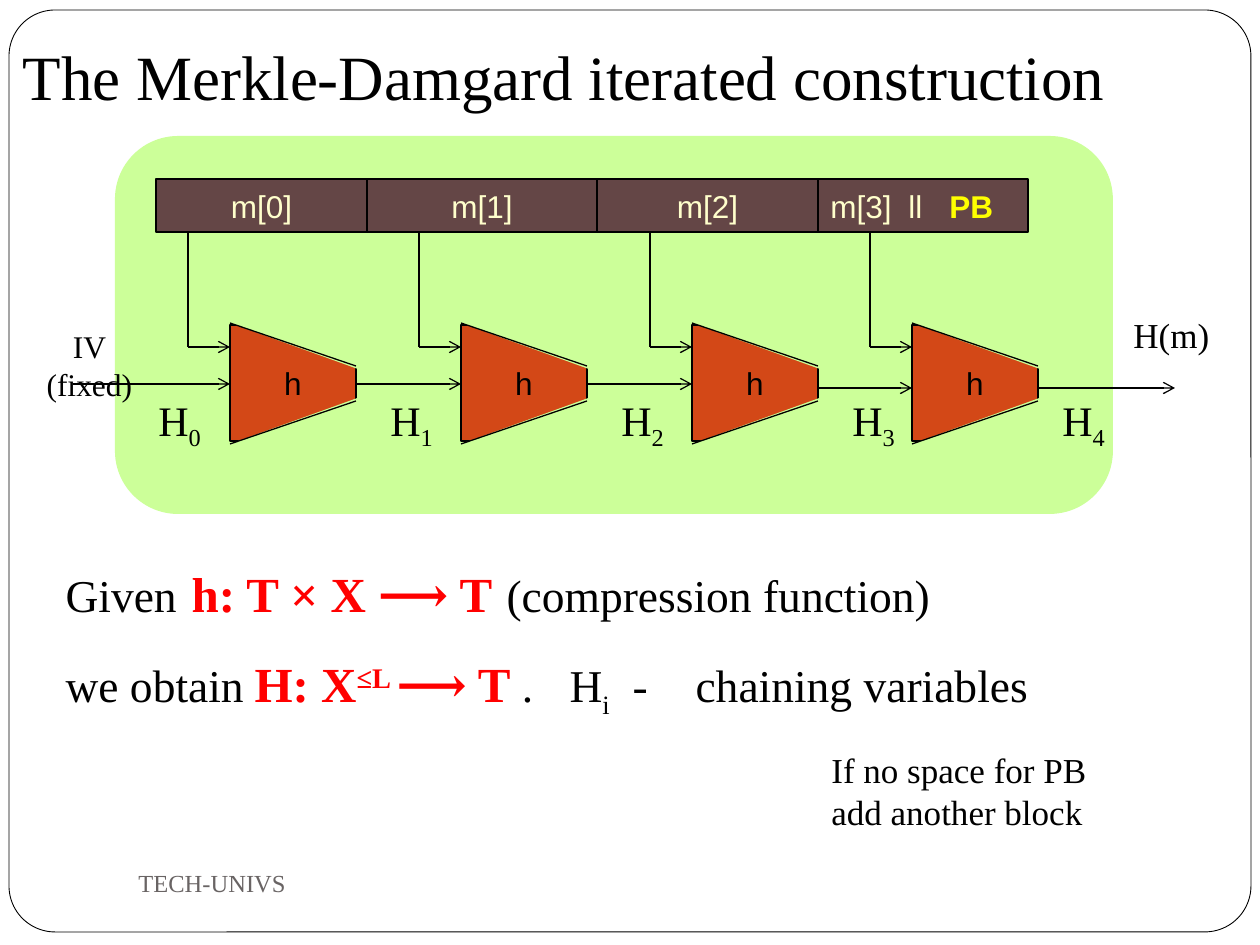
from lxml.etree import SubElement
from pptx import Presentation
from pptx.dml.color import RGBColor
from pptx.enum.shapes import MSO_CONNECTOR, MSO_SHAPE
from pptx.enum.text import MSO_ANCHOR, MSO_AUTO_SIZE, PP_ALIGN
from pptx.oxml.ns import qn
from pptx.util import Emu, Pt

BLACK = RGBColor(0x00, 0x00, 0x00)
WHITE = RGBColor(0xFF, 0xFF, 0xFF)
GREEN = RGBColor(0xCC, 0xFF, 0x99)
ORANGE = RGBColor(0xD3, 0x48, 0x17)
BROWN = RGBColor(0x64, 0x46, 0x46)
CREAM = RGBColor(0xFF, 0xFF, 0xCC)
YELLOW = RGBColor(0xFF, 0xFF, 0x00)
RED = RGBColor(0xFF, 0x00, 0x00)
GREY = RGBColor(0x69, 0x64, 0x64)
SERIF, SANS = "Times New Roman", "Arial"

BLOCK_EDGES = [156, 367, 597, 818, 1028]
BLOCK_TOP, BLOCK_H = 179, 53
H_LEFTS = [230, 461, 692, 912]
H_TOP, H_W, H_H = 325, 126, 116
WEDGE_W, WEDGE_H = 147, 53
SLOPE_H = 43
CHAIN_YS = [384, 384, 384, 388, 388]
LABEL_LEFTS = [146, 378, 609, 840, 1050]


def px(n):
    return Emu(round(n * 914400 / 126))


def box(x, y, w, h):
    return px(x), px(y), px(w), px(h)


def add_run(p, text, size, color=BLACK, font=SERIF, bold=False, base=0):
    r = p.add_run()
    r.text = text
    r.font.name, r.font.size, r.font.bold = font, Pt(size), bold
    r.font.color.rgb = color
    if base:
        r.font._element.set("baseline", str(base * 1000))


def set_tabs(p, stops):
    tabs = SubElement(p._p.get_or_add_pPr(), qn("a:tabLst"))
    for stop in stops:
        SubElement(tabs, qn("a:tab"), pos=str(px(stop)), algn="l")


def add_shape(s, kind, bounds, fill, line=None):
    sp = s.shapes.add_shape(kind, *box(*bounds))
    sp.shadow.inherit = False
    sp.fill.solid()
    sp.fill.fore_color.rgb = fill
    if line:
        sp.line.color.rgb = BLACK
        sp.line.width = Pt(line)
    else:
        sp.line.fill.background()
    return sp


def add_box(s, bounds, fill, align=PP_ALIGN.CENTER):
    sp = add_shape(s, MSO_SHAPE.RECTANGLE, bounds, fill, 0.75)
    tf = sp.text_frame
    tf.word_wrap = False
    tf.vertical_anchor = MSO_ANCHOR.MIDDLE
    tf.paragraphs[0].alignment = align
    return tf.paragraphs[0]


def add_line(s, x1, y1, x2, y2, arrow=False):
    line = s.shapes.add_connector(
        MSO_CONNECTOR.STRAIGHT, px(x1), px(y1), px(x2), px(y2))
    line.line.color.rgb = BLACK
    line.line.width = Pt(0.75)
    if arrow:
        SubElement(line.line._get_or_add_ln(), qn("a:tailEnd"), type="arrow")
    SubElement(line._element.spPr, qn("a:effectLst"))


def add_label(s, bounds, wrap=False):
    tf = s.shapes.add_textbox(*box(*bounds)).text_frame
    tf.word_wrap = wrap
    return tf


def add_wedge(s, x, upper):
    y = 323 if upper else 391
    sp = add_shape(s, MSO_SHAPE.RIGHT_TRIANGLE, (x, y, WEDGE_W, WEDGE_H), GREEN)
    xfrm = sp._element.spPr.xfrm
    xfrm.set("flipH", "1")
    if upper:
        xfrm.set("flipV", "1")
        add_line(s, x, y, x + H_W, y + SLOPE_H)
    else:
        add_line(s, x, y + WEDGE_H, x + H_W, y + WEDGE_H - SLOPE_H)


def add_title(s):
    title = s.shapes.title
    title.left, title.top, title.width, title.height = box(10, -32, 1218, 158)
    tf = title.text_frame
    tf.auto_size = MSO_AUTO_SIZE.NONE
    tf.vertical_anchor = MSO_ANCHOR.BOTTOM
    tf.margin_bottom = px(13)
    p = tf.paragraphs[0]
    p.alignment = PP_ALIGN.LEFT
    add_run(p, "The Merkle-Damgard iterated construction", 36)


def add_body_line(p, space, stops, runs):
    p.space_before = Pt(space)
    pPr = p._p.get_or_add_pPr()
    pPr.set("marL", "0")
    pPr.set("indent", "0")
    SubElement(pPr, qn("a:buNone"))
    set_tabs(p, stops)
    for text, strong, base in runs:
        add_run(p, text, 28 if strong else 26, RED if strong else BLACK,
                bold=strong, base=base)


def add_body(s):
    body = s.placeholders[1]
    body.left, body.top, body.width, body.height = box(53, 557, 1124, 388)
    tf = body.text_frame
    tf.auto_size = MSO_AUTO_SIZE.NONE
    add_body_line(tf.paragraphs[0], 5.8, [145, 556], [
        ("Given\t", False, 0), ("h: T × X ⟶ T\t", True, 0),
        ("(compression function)", False, 0)])
    add_body_line(tf.add_paragraph(), 18.2, [224, 646, 709, 746], [
        ("we obtain\t", False, 0), ("H: X", True, 0), ("≤L ", True, 30),
        ("⟶ T ", True, 0), (".\tH", False, 0), ("i", False, -25),
        ("\t-\tchaining variables", False, 0)])


def add_message_blocks(s):
    for i, (left, right) in enumerate(zip(BLOCK_EDGES, BLOCK_EDGES[1:])):
        last = i == 3
        p = add_box(s, (left, BLOCK_TOP, right - left, BLOCK_H), BROWN,
                    PP_ALIGN.LEFT if last else PP_ALIGN.CENTER)
        add_run(p, f"m[{i}]", 18, CREAM, SANS)
        if last:
            set_tabs(p, [78, 119])
            add_run(p, "\tll\t", 18, CREAM, SANS)
            add_run(p, "PB", 18, YELLOW, SANS, bold=True)


def add_chain(s):
    for x in H_LEFTS:
        add_run(add_box(s, (x, H_TOP, H_W, H_H), ORANGE), "h", 18, font=SANS)
        add_line(s, x - 42, BLOCK_TOP + BLOCK_H, x - 42, 347)
        add_line(s, x - 42, 347, x, 347, arrow=True)
    starts = [73] + [x + H_W for x in H_LEFTS]
    for start, end, y in zip(starts, H_LEFTS + [1175], CHAIN_YS):
        add_line(s, start, y, end, y, arrow=True)
    for x in H_LEFTS:
        add_wedge(s, x, upper=True)
        add_wedge(s, x, upper=False)
    for i, x in enumerate(LABEL_LEFTS):
        p = add_label(s, (x, 388, 72, 63)).paragraphs[0]
        add_run(p, "H", 24)
        add_run(p, str(i), 24, base=-25)


def add_labels(s):
    tf = add_label(s, (33, 321, 113, 89))
    for p, text in zip((tf.paragraphs[0], tf.add_paragraph()), ("IV", "(fixed)")):
        p.alignment = PP_ALIGN.CENTER
        add_run(p, text, 18)
    add_run(add_label(s, (1121, 307, 103, 55)).paragraphs[0], "H(m)", 20)
    p = add_label(s, (819, 742, 315, 97), wrap=True).paragraphs[0]
    add_run(p, "If no space for PB", 20)
    p.add_line_break()
    add_run(p, "add another block", 20)
    tf = add_label(s, (126, 851, 546, 63), wrap=True)
    tf.vertical_anchor = MSO_ANCHOR.MIDDLE
    add_run(tf.paragraphs[0], "TECH-UNIVS", 14, GREY)


def main():
    prs = Presentation()
    prs.slide_width, prs.slide_height = px(1260), px(945)
    s = prs.slides.add_slide(prs.slide_layouts[1])
    frame = add_shape(s, MSO_SHAPE.ROUNDED_RECTANGLE, (9, 10, 1242, 922), WHITE, 0.5)
    frame.adjustments[0] = 0.05
    s.shapes._spTree.insert(2, frame._element)
    add_title(s)
    add_body(s)
    add_shape(s, MSO_SHAPE.ROUNDED_RECTANGLE, (115, 136, 998, 378), GREEN)
    add_message_blocks(s)
    add_chain(s)
    add_labels(s)
    prs.save("out.pptx")


if __name__ == "__main__":
    main()
